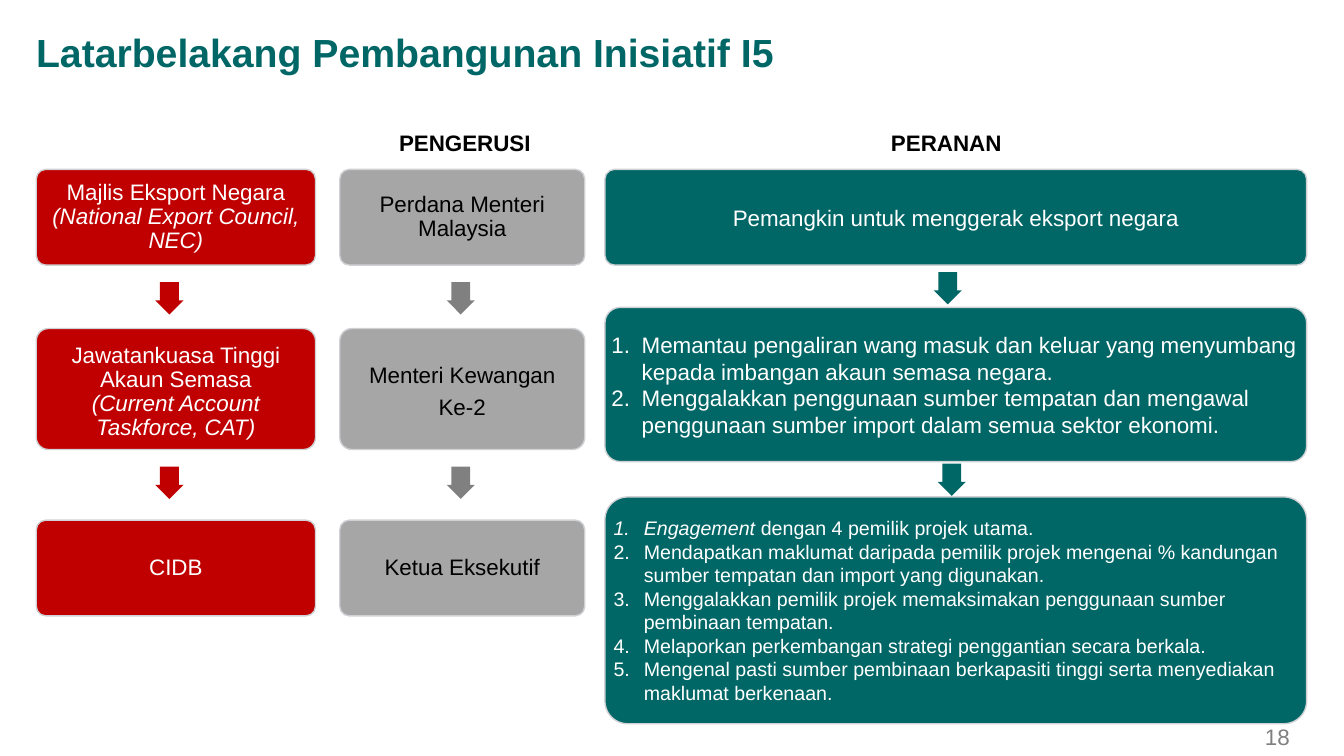
from dataclasses import dataclass
from typing import NamedTuple

from lxml import etree
from pptx import Presentation, util as u
from pptx.dml.color import RGBColor
from pptx.enum import shapes, text
from pptx.oxml import ns


@dataclass(frozen=True)
class Theme:
    font: str = "Arial"
    teal: str = "006666"
    red: str = "C00000"
    grey: str = "A6A6A6"
    mid_grey: str = "808080"
    outline: str = "CFD1D4"
    white: str = "FFFFFF"
    black: str = "000000"
    title_size: int = 28
    body_size: int = 16
    list_size: int = 14


class Track(NamedTuple):
    """A row or column of the grid: its start and its extent in inches."""
    start: float
    extent: float


class Frame(NamedTuple):
    left: float
    top: float
    width: float
    height: float


@dataclass(frozen=True)
class Box:
    row: Track
    lines: tuple[str, ...]
    numbered: bool = False
    size: int = 16
    spacing: float = 1.0
    drop: float = 0.0


@dataclass(frozen=True)
class Column:
    track: Track
    fill: str
    ink: str
    arrow_fill: str
    arrow_centres: tuple[tuple[float, float], ...]
    boxes: tuple[Box, ...]


@dataclass(frozen=True)
class Label:
    frame: Frame
    words: str
    size: int
    colour: str
    bold: bool
    align: text.PP_ALIGN
    inset: float = 0.05
    spacing: float = 1.0
    anchor: text.MSO_ANCHOR = text.MSO_ANCHOR.TOP


THEME = Theme()
PAD = 0.02
HANG = 0.3
ARROW_W, ARROW_H = 0.28, 0.32
RUN_BREAK = "|"
ITALIC_STARTS = ("(", "Engagement")

TOP, MIDDLE, BOTTOM = Track(1.68, 0.95), Track(3.26, 1.2), Track(5.16, 0.95)
ROLE_MIDDLE, ROLE_BOTTOM = Track(3.05, 1.53), Track(4.93, 2.25)

COLUMNS = (
    Column(Track(0.36, 2.77), THEME.red, THEME.white, THEME.red,
           ((1.68, 2.96), (1.68, 4.79)), (
        Box(TOP, ("Majlis Eksport Negara\v|(National Export Council, NEC)",), spacing=0.9),
        Box(MIDDLE, ("Jawatankuasa Tinggi\vAkaun Semasa\v|(Current Account Taskforce, CAT)",),
            spacing=0.9, drop=0.06),
        Box(BOTTOM, ("CIDB",), spacing=0.9))),
    Column(Track(3.37, 2.43), THEME.grey, THEME.black, THEME.mid_grey,
           ((4.57, 2.96), (4.57, 4.79)), (
        Box(TOP, ("Perdana Menteri\vMalaysia",), spacing=0.9),
        Box(MIDDLE, ("Menteri Kewangan", "Ke-2"), spacing=0.9, drop=0.06),
        Box(BOTTOM, ("Ketua Eksekutif",), spacing=0.9))),
    Column(Track(6, 6.96), THEME.teal, THEME.white, THEME.teal,
           ((9.4, 2.86), (9.44, 4.76)), (
        Box(TOP, ("Pemangkin untuk menggerak eksport negara",)),
        Box(ROLE_MIDDLE, (
            "Memantau pengaliran wang masuk dan keluar yang menyumbang kepada imbangan akaun "
            "semasa negara.",
            "Menggalakkan penggunaan sumber tempatan dan mengawal penggunaan sumber import "
            "dalam semua sektor ekonomi."), numbered=True),
        Box(ROLE_BOTTOM, (
            "Engagement |dengan 4 pemilik projek utama.",
            "Mendapatkan maklumat daripada pemilik projek mengenai % kandungan sumber tempatan "
            "dan import yang digunakan.",
            "Menggalakkan pemilik projek memaksimakan penggunaan sumber pembinaan tempatan.",
            "Melaporkan perkembangan strategi penggantian secara berkala.",
            "Mengenal pasti sumber pembinaan berkapasiti tinggi serta menyediakan maklumat "
            "berkenaan."), numbered=True, size=THEME.list_size))),
)

LABELS = (
    Label(Frame(0.26, 0.27, 13.07, 0.54), "Latarbelakang Pembangunan Inisiatif I5",
          THEME.title_size, THEME.teal, True, text.PP_ALIGN.LEFT, inset=0.1, spacing=0.9,
          anchor=text.MSO_ANCHOR.MIDDLE),
    Label(Frame(3.85, 1.18, 1.52, 0.47), "PENGERUSI", THEME.body_size, THEME.black, True,
          text.PP_ALIGN.CENTER, inset=0.1),
    Label(Frame(8.73, 1.18, 1.31, 0.47), "PERANAN", THEME.body_size, THEME.black, True,
          text.PP_ALIGN.CENTER, inset=0.1),
    Label(Frame(12.3, 7.13, 0.59, 0.27), "18", THEME.body_size, THEME.mid_grey, False,
          text.PP_ALIGN.RIGHT, inset=0.1),
)


def inches(frame: Frame) -> list[u.Length]:
    return [u.Inches(length) for length in frame]


def style_font(font, size: int, colour: str, bold: bool = False) -> None:
    font.name, font.size, font.bold = THEME.font, u.Pt(size), bold
    font.color.rgb = RGBColor.from_string(colour)


def set_insets(tf, side: float, top: float, bottom: float) -> None:
    tf.margin_left = tf.margin_right = u.Inches(side)
    tf.margin_top, tf.margin_bottom = u.Inches(top), u.Inches(bottom)


def number_paragraph(p) -> None:
    """Make a paragraph an item of a numbered list with a hanging indent."""
    pr = p._p.get_or_add_pPr()
    pr.set("marL", str(u.Inches(HANG)))
    pr.set("indent", str(-u.Inches(HANG)))
    etree.SubElement(pr, ns.qn("a:buFont")).set("typeface", "+mj-lt")
    etree.SubElement(pr, ns.qn("a:buAutoNum")).set("type", "arabicPeriod")


def add_filled(s, kind: shapes.MSO_SHAPE, frame: Frame, fill: str):
    sp = s.shapes.add_shape(kind, *inches(frame))
    sp.shadow.inherit = False
    sp.fill.solid()
    sp.fill.fore_color.rgb = RGBColor.from_string(fill)
    sp.line.fill.background()
    return sp


def add_box(s, column: Column, box: Box) -> None:
    frame = Frame(column.track.start, box.row.start, column.track.extent, box.row.extent)
    sp = add_filled(s, shapes.MSO_SHAPE.ROUNDED_RECTANGLE, frame, column.fill)
    sp.adjustments[0] = 0.1
    sp.line.color.rgb = RGBColor.from_string(THEME.outline)
    sp.line.width = u.Pt(1)
    tf = sp.text_frame
    tf.word_wrap = True
    tf.vertical_anchor = text.MSO_ANCHOR.MIDDLE
    set_insets(tf, PAD, PAD + box.drop, PAD)
    for i, line in enumerate(box.lines):
        p = tf.paragraphs[0] if i == 0 else tf.add_paragraph()
        head, _, tail = line.partition(RUN_BREAK)
        p.text = head
        if tail:
            p.add_run().text = tail
        p.alignment = text.PP_ALIGN.LEFT if box.numbered else text.PP_ALIGN.CENTER
        p.line_spacing = box.spacing
        if box.numbered:
            number_paragraph(p)
        elif i < len(box.lines) - 1:
            p.space_after = u.Pt(0.35 * box.size)
        for r in p.runs:
            style_font(r.font, box.size, column.ink)
            r.font.italic = r.text.startswith(ITALIC_STARTS)


def add_arrow(s, centre: tuple[float, float], fill: str) -> None:
    x, y = centre
    frame = Frame(x - ARROW_W / 2, y - ARROW_H / 2, ARROW_W, ARROW_H)
    sp = add_filled(s, shapes.MSO_SHAPE.DOWN_ARROW, frame, fill)
    sp.adjustments[0], sp.adjustments[1] = 0.67, 0.5


def add_label(s, label: Label) -> None:
    tf = s.shapes.add_textbox(*inches(label.frame)).text_frame
    tf.word_wrap = True
    tf.vertical_anchor = label.anchor
    vertical = label.inset if label.align == text.PP_ALIGN.CENTER else 0.05
    set_insets(tf, label.inset, vertical, vertical)
    tf.text = label.words
    p = tf.paragraphs[0]
    p.alignment, p.line_spacing = label.align, label.spacing
    style_font(p.runs[0].font, label.size, label.colour, label.bold)


def main() -> None:
    prs = Presentation()
    prs.slide_width, prs.slide_height = u.Inches(13.33), u.Inches(7.5)
    s = prs.slides.add_slide(prs.slide_layouts[6])
    for column in COLUMNS:
        for box in column.boxes:
            add_box(s, column, box)
        for centre in column.arrow_centres:
            add_arrow(s, centre, column.arrow_fill)
    for label in LABELS:
        add_label(s, label)
    prs.save("out.pptx")


if __name__ == "__main__":
    main()
